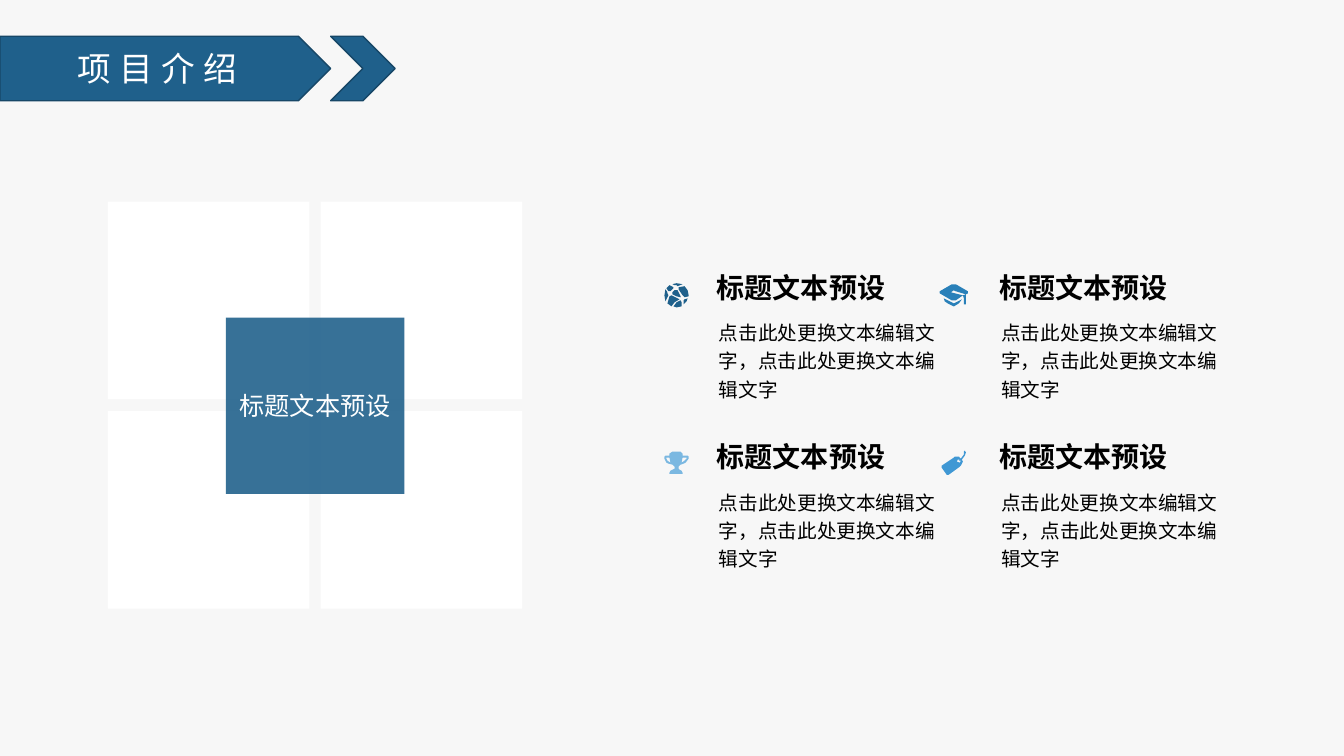
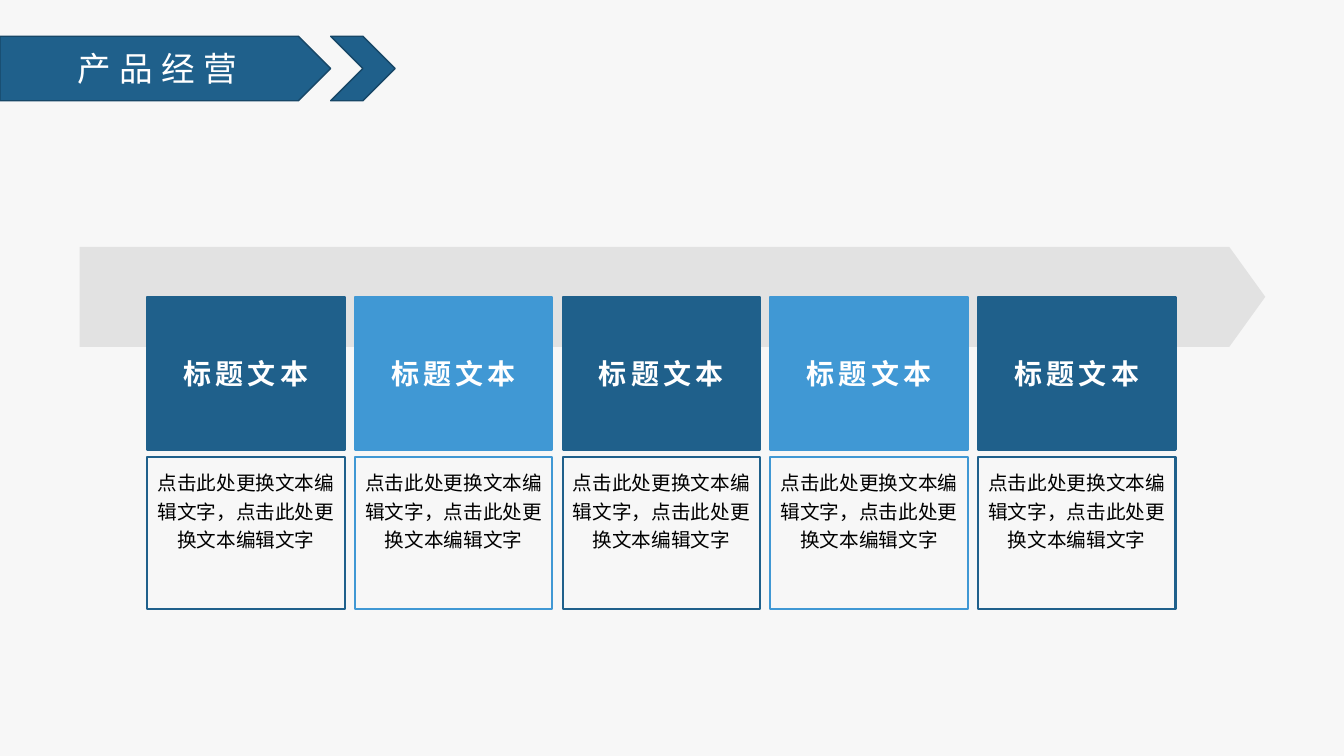
import lxml.etree
import pptx
import pptx.dml.color
import pptx.enum.shapes
import pptx.enum.text
import pptx.oxml.ns
import pptx.util

RGB = pptx.dml.color.RGBColor
Inches = pptx.util.Inches
MSO = pptx.enum.shapes.MSO_SHAPE
ALIGN = pptx.enum.text.PP_ALIGN
ANCHOR = pptx.enum.text.MSO_ANCHOR
qn = pptx.oxml.ns.qn

NAVY = RGB(0x1F, 0x60, 0x8B)
NAVY_EDGE = RGB(0x17, 0x47, 0x67)
BLUE = RGB(0x29, 0x80, 0xB9)
SKY = RGB(0x40, 0x98, 0xD4)
PALE = RGB(0x7B, 0xB8, 0xE1)
GREY = RGB(0xCC, 0xCC, 0xCC)
PAPER = RGB(0xF7, 0xF7, 0xF7)
WHITE = RGB(0xFF, 0xFF, 0xFF)
BLACK = RGB(0x00, 0x00, 0x00)
FONT = "Noto Sans CJK SC"
BODY = "点击此处更换文本编辑文字，点击此处更换文本编辑文字"


def write(sp, text, size=14, color=BLACK, bold=False, align=ALIGN.LEFT,
          anchor=ANCHOR.TOP, spacing=0, leading=None, insets=(0, 0, 0, 0)):
    tf = sp.text_frame
    tf.word_wrap = True
    tf.auto_size = pptx.enum.text.MSO_AUTO_SIZE.NONE
    tf.vertical_anchor = anchor
    tf.margin_left, tf.margin_top, tf.margin_right, tf.margin_bottom = map(Inches, insets)
    p = tf.paragraphs[0]
    p.alignment = align
    if leading:
        p.line_spacing = leading
    r = p.add_run()
    r.text = text
    r.font.size = pptx.util.Pt(size)
    r.font.bold = bold
    r.font.color.rgb = color
    r.font.name = FONT
    rPr = r.font._element
    lxml.etree.SubElement(rPr, qn("a:ea")).set("typeface", FONT)
    if spacing:
        rPr.set("spc", str(spacing * 100))


def paint(sp, fill=None, line=None, width=1, opacity=100):
    sp.shadow.inherit = False
    if fill is None:
        sp.fill.background()
    else:
        sp.fill.solid()
        sp.fill.fore_color.rgb = fill
    if line is None:
        sp.line.fill.background()
    else:
        sp.line.color.rgb = line
        sp.line.width = pptx.util.Pt(width)
    if opacity < 100:
        clr = sp.element.xpath("p:spPr/a:solidFill/a:srgbClr")[0]
        lxml.etree.SubElement(clr, qn("a:alpha")).set("val", str(opacity * 1000))
    return sp


prs = pptx.Presentation()
prs.slide_width = Inches(13.33)
prs.slide_height = Inches(7.5)
bg = prs.slide_master.background.fill
bg.solid()
bg.fore_color.rgb = PAPER

layout = prs.slide_layouts[5]
BAND_TOP, BAND_H, BAND_W = 0.36, 0.64, 3.28
title = layout.placeholders[0]
title.left, title.top = 0, Inches(BAND_TOP)
title.width, title.height = Inches(BAND_W - BAND_H / 4), Inches(BAND_H)

slides = []
for text in ("项目介绍", "产品经营"):
    s = prs.slides.add_slide(layout)
    write(s.shapes.title, text, size=24, color=WHITE, align=ALIGN.CENTER,
          anchor=ANCHOR.MIDDLE, spacing=6, insets=(0.1, 0.05, 0.1, 0.05))
    slides.append(s)
intro, product = slides

for kind, left, width in ((MSO.PENTAGON, 0, BAND_W), (MSO.CHEVRON, BAND_W, BAND_H)):
    sp = intro.shapes.add_shape(kind, Inches(left), Inches(BAND_TOP),
                                Inches(width), Inches(BAND_H))
    paint(sp, NAVY, NAVY_EDGE)
    layout.shapes.element.append(sp.element)

for row in range(2):
    for col in range(2):
        sp = intro.shapes.add_shape(MSO.RECTANGLE, Inches(1.07 + 2.11 * col),
                                    Inches(2 + 2.08 * row), Inches(2), Inches(1.96))
        paint(sp, WHITE)
sp = intro.shapes.add_shape(MSO.RECTANGLE, Inches(2.24), Inches(3.15),
                            Inches(1.77), Inches(1.75))
paint(sp, NAVY, opacity=89)
write(sp, "标题文本预设", size=18, color=WHITE, align=ALIGN.CENTER, anchor=ANCHOR.MIDDLE)

GLOBE = [
    [(16, 17), (12, 19), (9, 23), (12, 24), (17, 23), (17, 19)],
    [(20, 3), (14, 4), (14, 6), (18, 12), (20, 14), (24, 13), (24, 12), (23, 7)],
    [(15, 16), (7, 12), (5, 13), (3, 20), (7, 23), (10, 19)],
    [(19, 17), (19, 21), (22, 18), (23, 15), (20, 16)],
    [(16, 14), (16, 13), (13, 7), (10, 7), (8, 9), (8, 11), (12, 13)],
    [(12, 2), (13, 3), (18, 1), (12, 0), (8, 1), (10, 2)],
    [(3, 10), (3, 9), (1, 6), (0, 12), (1, 18), (4, 12)],
    [(6, 8), (9, 5), (9, 4), (5, 2), (2, 5), (4, 8)],
]
CAP = [
    [(25, 20), (27, 20), (27, 10), (24, 11), (25, 14)],
    [(29, 7), (17, 0), (13, 0), (1, 7), (1, 9), (13, 16), (17, 16), (24, 11), (16, 9),
     (12, 8), (15, 6), (17, 7), (27, 10), (29, 9)],
    [(5, 14), (6, 17), (9, 19), (15, 22), (20, 19), (23, 15), (15, 19)],
]
TROPHY = [
    [(22, 7), (20, 9), (17, 11), (18, 6), (22, 6)],
    [(3, 9), (2, 7), (2, 6), (5, 6), (6, 11)],
    [(23, 4), (18, 4), (18, 2), (16, 0), (8, 0), (5, 2), (5, 4), (1, 4), (0, 5), (0, 7),
     (2, 11), (4, 12), (8, 13), (10, 15), (10, 17), (8, 18), (6, 19), (5, 21), (5, 22),
     (18, 22), (18, 21), (17, 19), (15, 18), (14, 17), (14, 15), (16, 13), (19, 12),
     (21, 11), (24, 7), (24, 5)],
]
TAG = [
    [(18, 12), (15, 11), (16, 9), (18, 9), (17, 10), (19, 10)],
    [(23, 0), (22, 1), (22, 4), (19, 8), (17, 6), (13, 6), (12, 7), (0, 15), (0, 17),
     (5, 24), (7, 24), (18, 16), (19, 15), (21, 11), (20, 9), (23, 5), (24, 2)],
]
ICONS = [
    [(GLOBE, NAVY, 6.59, 2.81), (CAP, BLUE, 9.31, 2.82)],
    [(TROPHY, PALE, 6.59, 4.48), (TAG, SKY, 9.34, 4.47)],
]
for row, icons in enumerate(ICONS):
    for col, (outlines, color, left, top) in enumerate(icons):
        x, y = 7.11 + 2.8 * col, 2.68 + 1.68 * row
        sp = intro.shapes.add_textbox(Inches(x), Inches(y), Inches(1.86), Inches(0.34))
        write(sp, "标题文本预设", size=20, bold=True)
        sp = intro.shapes.add_textbox(Inches(x + 0.02), Inches(y + 0.46),
                                      Inches(2.21), Inches(1.07))
        write(sp, BODY, leading=1.2)
        fb = intro.shapes.build_freeform(*outlines[0][0], scale=Inches(0.01))
        for outline in outlines:
            fb.move_to(*outline[0])
            fb.add_line_segments(outline[1:], close=True)
        paint(fb.convert_to_shape(Inches(left), Inches(top)), color)

sp = product.shapes.add_shape(MSO.PENTAGON, Inches(0.79), Inches(2.45),
                              Inches(11.76), Inches(0.99))
sp.adjustments[0] = 0.36
paint(sp, GREY, opacity=48)
CARD_W, CARD_H = Inches(1.96), Inches(1.51)
for col in range(5):
    color = (NAVY, SKY)[col % 2]
    x = Inches(1.46 + 2.06 * col)
    sp = product.shapes.add_shape(MSO.RECTANGLE, x, Inches(2.95), CARD_W, CARD_H)
    paint(sp, color, color, 1.5)
    write(sp, "标题文本", size=20, color=WHITE, bold=True, align=ALIGN.CENTER,
          anchor=ANCHOR.MIDDLE, spacing=3, insets=(0.05,) * 4)
    sp = product.shapes.add_shape(MSO.RECTANGLE, x, Inches(4.53), CARD_W, CARD_H)
    paint(sp, line=color, width=1.5)
    write(sp, BODY, align=ALIGN.CENTER, leading=1.2, insets=(0.1, 0.1, 0.1, 0.05))

prs.save("out.pptx")
